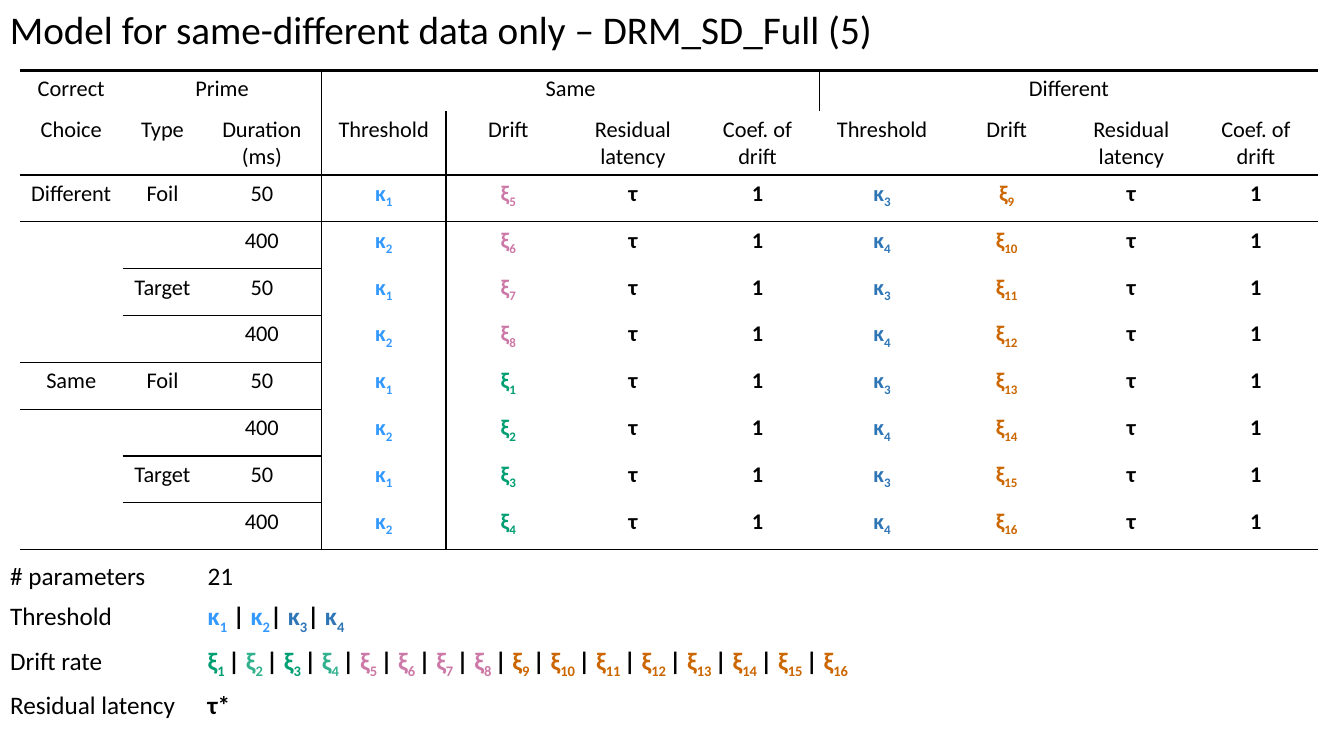
"""Build the slide listing the parameters of the full same-different model."""
from lxml import etree
from pptx import Presentation
from pptx.dml.color import RGBColor
from pptx.enum.text import MSO_AUTO_SIZE as AutoSize, PP_ALIGN as Align
from pptx.oxml.ns import qn
from pptx.util import Cm, Pt

BLACK, WHITE = "000000", "FFFFFF"
SKY, BLUE = "3399FF", "2E75B6"
GREEN, MINT, PINK, ORANGE = "009E73", "32B18E", "CC79A7", "CC6600"
NO_STYLE = "{2D5ABB26-0587-4C30-8999-92F81FD0307C}"


def add_run(p, text, size, color=BLACK, bold=False, sub=False):
    r = p.add_run()
    r.text = text
    r.font.name, r.font.size, r.font.bold = "Calibri", Pt(size), bold
    r.font.color.rgb = RGBColor.from_string(color)
    if sub:
        r._r.get_or_add_rPr().set("baseline", "-25000")


def add_grid(s, left, top, widths, heights):
    size = Cm(left), Cm(top), Cm(sum(widths)), Cm(sum(heights))
    tbl = s.shapes.add_table(len(heights), len(widths), *size).table
    tbl.first_row = tbl.horz_banding = False
    tbl._tbl.tblPr[0].text = NO_STYLE
    for col, width in zip(tbl.columns, widths):
        col.width = Cm(width)
    for row, height in zip(tbl.rows, heights):
        row.height = Cm(height)
    return tbl


prs = Presentation()
prs.slide_width, prs.slide_height = Cm(33.87), Cm(19.05)
s = prs.slides.add_slide(prs.slide_layouts[6])

title = s.shapes.add_textbox(0, 0, Cm(22.5), Cm(1.45))
tf = title.text_frame
tf.word_wrap = False
tf.auto_size = AutoSize.SHAPE_TO_FIT_TEXT
add_run(tf.paragraphs[0], "Model for same-different data only – DRM_SD_Full (5)", 28)

model = add_grid(s, 0.5, 1.77, [2.59, 2.01, 3] + [3.14] * 8, [1.03, 1.61] + [1.18] * 8)
for first, last in ((1, 2), (3, 6), (7, 10)):
    model.cell(0, first).merge(model.cell(0, last))

measures = ["Threshold", "Drift", "Residual latency", "Coef. of\ndrift"]
labels = {(0, 0): "Correct", (0, 1): "Prime", (0, 3): "Same", (0, 7): "Different"}
for c, text in enumerate(["Choice", "Type", "Duration (ms)"] + measures * 2):
    labels[1, c] = text
for r in range(2, 10):
    labels[r, 2] = "400" if r % 2 else "50"
for r, choice in ((2, "Different"), (6, "Same")):
    labels[r, 0], labels[r, 1], labels[r + 2, 1] = choice, "Foil", "Target"
for (r, c), text in labels.items():
    tf = model.cell(r, c).text_frame
    for i, line in enumerate(text.split("\n")):
        p = tf.add_paragraph() if i else tf.paragraphs[0]
        p.alignment = Align.CENTER
        add_run(p, line, 16)

for i in range(8):
    same_drift = (i + 4) % 8 + 1
    same = [("κ", i % 2 + 1, SKY), ("ξ", same_drift, GREEN if same_drift < 5 else PINK)]
    different = [("κ", i % 2 + 3, BLUE), ("ξ", i + 9, ORANGE)]
    fixed = [("τ", "", BLACK), ("1", "", BLACK)]
    for c, (symbol, index, color) in enumerate(same + fixed + different + fixed, 3):
        p = model.cell(i + 2, c).text_frame.paragraphs[0]
        p.alignment = Align.CENTER
        add_run(p, symbol, 16, color, True)
        if index:
            add_run(p, str(index), 16, color, True, True)

rule_start = [11, 0, 2, 1, 2, 0, 2, 1, 2, 0]
ruled = {(r, c) for r in range(10) for c in range(rule_start[r], 11)
         if c < 3 or r in (1, 9)}
for r in range(10):
    for c in range(11):
        top = 2.25 if r == 0 else (r - 1, c) in ruled
        sides = {"L": c == 3, "R": c == 2 or (r, c) == (0, 1),
                 "T": top, "B": (r, c) in ruled}
        tcPr = model.cell(r, c)._tc.get_or_add_tcPr()
        for side, width in sides.items():
            if width:
                ln = etree.SubElement(tcPr, qn("a:ln" + side), w=str(Pt(width)))
                fill = etree.SubElement(ln, qn("a:solidFill"))
                etree.SubElement(fill, qn("a:srgbClr"), val=BLACK)

summary = add_grid(s, 0, 14.02, [4.98, 28.6], [1.02, 1.1, 1.1, 1.02, 0.76])
for row in summary.rows:
    for cell in row.cells:
        cell.fill.solid()
        cell.fill.fore_color.rgb = RGBColor.from_string(WHITE)
for i, text in enumerate(["# parameters", "Threshold", "Drift rate", "Residual latency"]):
    add_run(summary.cell(i, 0).text_frame.paragraphs[0], text, 18)
count, thresholds, drifts, latency = [
    summary.cell(i, 1).text_frame.paragraphs[0] for i in range(4)]
add_run(count, "21", 18)
add_run(latency, "τ*", 18, bold=True)

for i, (color, bar) in enumerate(zip([SKY, SKY, BLUE, BLUE], ["", " | ", "| ", "| "]), 1):
    if bar:
        add_run(thresholds, bar, 18, bold=True)
    add_run(thresholds, "κ", 18, color, True)
    add_run(thresholds, str(i), 18, color, True, True)

for i, color in enumerate([GREEN, MINT] * 2 + [PINK] * 4 + [ORANGE] * 8, 1):
    if i > 1:
        add_run(drifts, "| ", 18, bold=True)
    add_run(drifts, "ξ", 18, color, True)
    add_run(drifts, f"{i} " if i < 16 else "16", 18, color, True, True)

prs.save("out.pptx")
